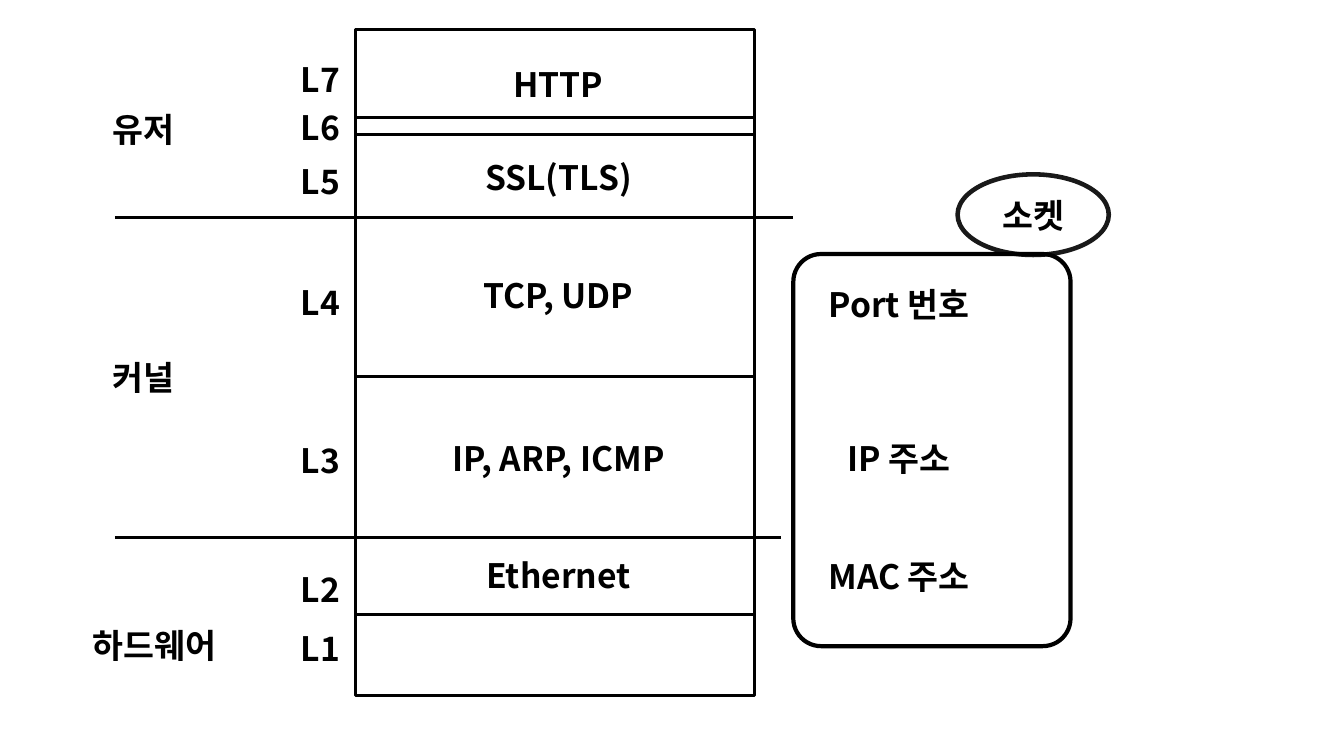
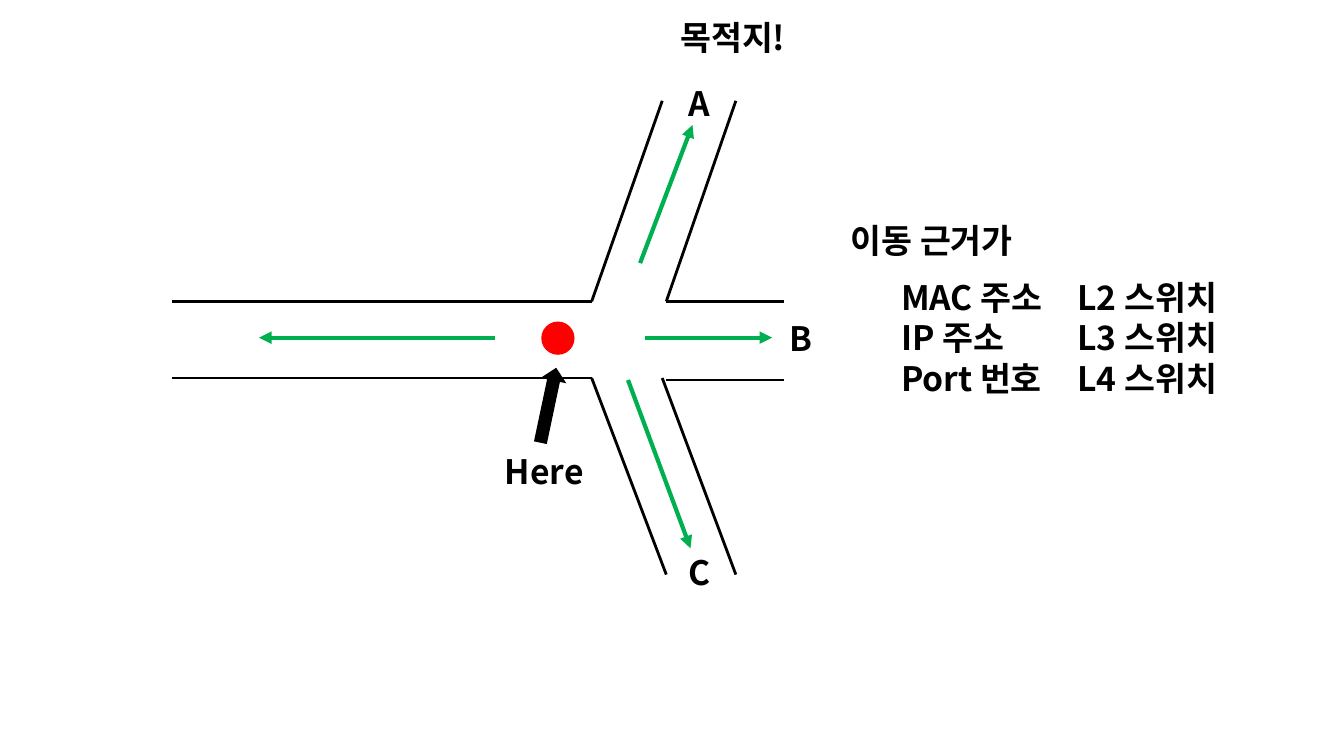
"""Two slides on network layers: the layer stack, and choosing a route at a junction."""
from dataclasses import dataclass
from typing import Optional

import pptx
import pptx.dml.color
import pptx.enum.shapes
import pptx.enum.text
import pptx.oxml
import pptx.oxml.ns
import pptx.shapes.autoshape
import pptx.slide
import pptx.text.text
import pptx.util

RGBColor = pptx.dml.color.RGBColor
Shapes = pptx.enum.shapes.MSO_SHAPE
Align = pptx.enum.text.PP_ALIGN
Anchor = pptx.enum.text.MSO_ANCHOR

BLACK = RGBColor(0x00, 0x00, 0x00)
RED = RGBColor(0xFF, 0x00, 0x00)
GREEN = RGBColor(0x00, 0xB0, 0x50)

FONT = "Noto Sans CJK KR"
TEXT_SIZE = 24
LINE_PITCH = 29
CELL = 0.1  # side of a grid cell in inches
SLIDE_COLUMNS, SLIDE_ROWS = 133.33, 75
LABEL_COLUMNS, LABEL_ROWS = 24, 5


def cells(count: float) -> int:
    return pptx.util.Inches(count * CELL)


@dataclass(frozen=True)
class Area:
    left: float
    top: float
    width: float
    height: float

    @property
    def right(self) -> float:
        return self.left + self.width

    @property
    def centre(self) -> float:
        return self.left + self.width / 2


@dataclass(frozen=True)
class Label:
    """Text centred on a column, in a box that starts at a row."""
    text: str
    column: float
    row: float


@dataclass(frozen=True)
class Line:
    start: tuple[float, float]
    end: tuple[float, float]


STACK = Area(35.3, 2.9, 39.6, 66.1)
STACK_DIVIDERS = (11.7, 13.35, 37.35, 61)
REGION_LINES = (Line((11.4, 21.6), (78.7, 21.6)), Line((11.4, 53.3), (77.5, 53.3)))
LEVEL_COLUMN = 31.8
LEVEL_ROWS = (5.3, 10.1, 15.4, 27.4, 43.1, 55.9, 61.8)
PROTOCOLS = (("HTTP", 5.8), ("SSL(TLS)", 15), ("TCP, UDP", 26.8),
             ("IP, ARP, ICMP", 42.9), ("Ethernet", 54.5))
REGIONS = (Label("유저", 14.2, 10.3), Label("커널", 14.2, 34.9),
           Label("하드웨어", 15.35, 61.5))
ADDRESS_PANEL = Area(78.7, 25.2, 27.5, 38.9)
ADDRESS_COLUMN = 89.2
ADDRESSES = (("Port 번호", 27.6), ("IP 주소", 42.9), ("MAC 주소", 54.6))
SOCKET = Area(95, 17.3, 15, 8)

ROAD_TOP, ROAD_BOTTOM = 29.9, 37.5
ROAD_MIDDLE = 33.5
ROAD_EDGES = (
    Line((17.1, ROAD_TOP), (58.7, ROAD_TOP)),
    Line((17.1, ROAD_BOTTOM), (58.7, ROAD_BOTTOM)),
    Line((58.7, ROAD_BOTTOM), (66.1, 57)),
    Line((65.7, ROAD_BOTTOM), (73, 57)),
    Line((58.7, ROAD_TOP), (65.7, 10)),
    Line((66.1, ROAD_TOP), (73, 10)),
    Line((66.1, ROAD_TOP), (77.8, ROAD_TOP)),
    Line((66.1, 37.7), (77.8, 37.7)),
)
ROUTES = (
    Line((63.5, 26.1), (68.7, 12.4)),
    Line((49.1, ROAD_MIDDLE), (25.7, ROAD_MIDDLE)),
    Line((64, ROAD_MIDDLE), (76.6, ROAD_MIDDLE)),
    Line((62.3, 37.7), (68.5, 54.4)),
)
DESTINATIONS = (Label("A", 69.4, 7.7), Label("B", 79.5, 31), Label("C", 69.4, 54.2))
SWITCH_TAB = 17.5
SWITCHES = (("MAC 주소", "L2 스위치"), ("IP 주소", "L3 스위치"), ("Port 번호", "L4 스위치"))


def add_tab_stop(paragraph: pptx.text.text._Paragraph, column: float) -> None:
    properties = paragraph._p.get_or_add_pPr()
    properties.append(pptx.oxml.parse_xml(
        f'<a:tabLst {pptx.oxml.ns.nsdecls("a")}><a:tab pos="{cells(column)}" algn="l"/></a:tabLst>'))


def write_text(frame: pptx.text.text.TextFrame, text: str, *, align: Align = Align.CENTER,
               anchor: Anchor = Anchor.TOP, tab: Optional[float] = None) -> None:
    frame.word_wrap = True
    frame.vertical_anchor = anchor
    frame.text = text
    for paragraph in frame.paragraphs:
        paragraph.alignment = align
        paragraph.line_spacing = pptx.util.Pt(LINE_PITCH)
        if tab is not None:
            add_tab_stop(paragraph, tab)
        for run in paragraph.runs:
            run.font.name = FONT
            run.font.size = pptx.util.Pt(TEXT_SIZE)
            run.font.bold = True
            run.font.color.rgb = BLACK
            east_asian = pptx.oxml.parse_xml(
                f'<a:ea {pptx.oxml.ns.nsdecls("a")} typeface="{FONT}"/>')
            run.font._element.find(pptx.oxml.ns.qn("a:latin")).addnext(east_asian)


def add_text(slide: pptx.slide.Slide, text: str, area: Area, *,
             align: Align = Align.LEFT, tab: Optional[float] = None) -> None:
    box = slide.shapes.add_textbox(*map(cells, (area.left, area.top, area.width, area.height)))
    write_text(box.text_frame, text, align=align, tab=tab)


def add_label(slide: pptx.slide.Slide, label: Label) -> None:
    area = Area(label.column - LABEL_COLUMNS / 2, label.row, LABEL_COLUMNS, LABEL_ROWS)
    add_text(slide, label.text, area, align=Align.CENTER)


def add_line(slide: pptx.slide.Slide, line: Line, *, color: RGBColor = BLACK,
             weight: float = 2, arrow: bool = False) -> None:
    connector = slide.shapes.add_connector(
        pptx.enum.shapes.MSO_CONNECTOR.STRAIGHT, *map(cells, line.start + line.end))
    connector.line.color.rgb = color
    connector.line.width = pptx.util.Pt(weight)
    namespace = pptx.oxml.ns.nsdecls("a")
    if arrow:
        connector.line._get_or_add_ln().append(
            pptx.oxml.parse_xml(f'<a:tailEnd {namespace} type="triangle"/>'))
    connector._element.spPr.append(pptx.oxml.parse_xml(f"<a:effectLst {namespace}/>"))


def add_shape(slide: pptx.slide.Slide, kind: Shapes, area: Area, *,
              fill: Optional[RGBColor] = None,
              weight: float = 0) -> pptx.shapes.autoshape.Shape:
    """Draw a preset shape; without fill or weight that part stays empty."""
    shape = slide.shapes.add_shape(
        kind, *map(cells, (area.left, area.top, area.width, area.height)))
    shape.shadow.inherit = False
    if fill is None:
        shape.fill.background()
    else:
        shape.fill.solid()
        shape.fill.fore_color.rgb = fill
    if weight:
        shape.line.color.rgb = BLACK
        shape.line.width = pptx.util.Pt(weight)
    else:
        shape.line.fill.background()
    return shape


def set_line_opacity(shape: pptx.shapes.autoshape.Shape, percent: int) -> None:
    color = shape.line._get_or_add_ln().find(".//" + pptx.oxml.ns.qn("a:srgbClr"))
    color.append(pptx.oxml.parse_xml(
        f'<a:alpha {pptx.oxml.ns.nsdecls("a")} val="{percent * 1000}"/>'))


def draw_layer_stack(slide: pptx.slide.Slide) -> None:
    for line in REGION_LINES:
        add_line(slide, line)
    add_shape(slide, Shapes.RECTANGLE, STACK, weight=2)
    for row in STACK_DIVIDERS:
        add_line(slide, Line((STACK.left, row), (STACK.right, row)))
    for protocol, row in PROTOCOLS:
        add_label(slide, Label(protocol, STACK.centre + 0.3, row))
    for region in REGIONS:
        add_label(slide, region)
    for index, row in enumerate(LEVEL_ROWS):
        add_label(slide, Label(f"L{len(LEVEL_ROWS) - index}", LEVEL_COLUMN, row))

    panel = add_shape(slide, Shapes.ROUNDED_RECTANGLE, ADDRESS_PANEL, weight=3)
    panel.adjustments[0] = 0.1
    for address, row in ADDRESSES:
        add_label(slide, Label(address, ADDRESS_COLUMN, row))
    socket = add_shape(slide, Shapes.OVAL, SOCKET, weight=3.25)
    set_line_opacity(socket, 89)
    write_text(socket.text_frame, "소켓", anchor=Anchor.MIDDLE)


def draw_junction(slide: pptx.slide.Slide) -> None:
    for edge in ROAD_EDGES:
        add_line(slide, edge)
    for destination in DESTINATIONS:
        add_label(slide, destination)
    add_shape(slide, Shapes.OVAL, Area(53.7, 31.9, 3.3, 3.3), fill=RED)
    pointer = add_shape(slide, Shapes.RIGHT_ARROW, Area(50.6, 38.9, 7.6, 2.6), fill=BLACK)
    pointer.rotation = 281.9
    for route in ROUTES:
        add_line(slide, route, color=GREEN, weight=3, arrow=True)

    add_text(slide, "Here", Area(49.1, 44.2, 10.5, LABEL_ROWS))
    add_text(slide, "목적지!", Area(66.5, 1.2, 13, LABEL_ROWS))
    add_text(slide, "이동 근거가", Area(83.4, 21.3, 25.8, LABEL_ROWS))
    add_text(slide, "\n".join("\t".join(switch) for switch in SWITCHES),
             Area(88.4, 26.9, 38.9, 13.1), tab=SWITCH_TAB)


def main() -> None:
    presentation = pptx.Presentation()
    presentation.slide_width = cells(SLIDE_COLUMNS)
    presentation.slide_height = cells(SLIDE_ROWS)
    blank = presentation.slide_layouts[6]
    for draw in (draw_layer_stack, draw_junction):
        draw(presentation.slides.add_slide(blank))
    presentation.save("out.pptx")


if __name__ == "__main__":
    main()
